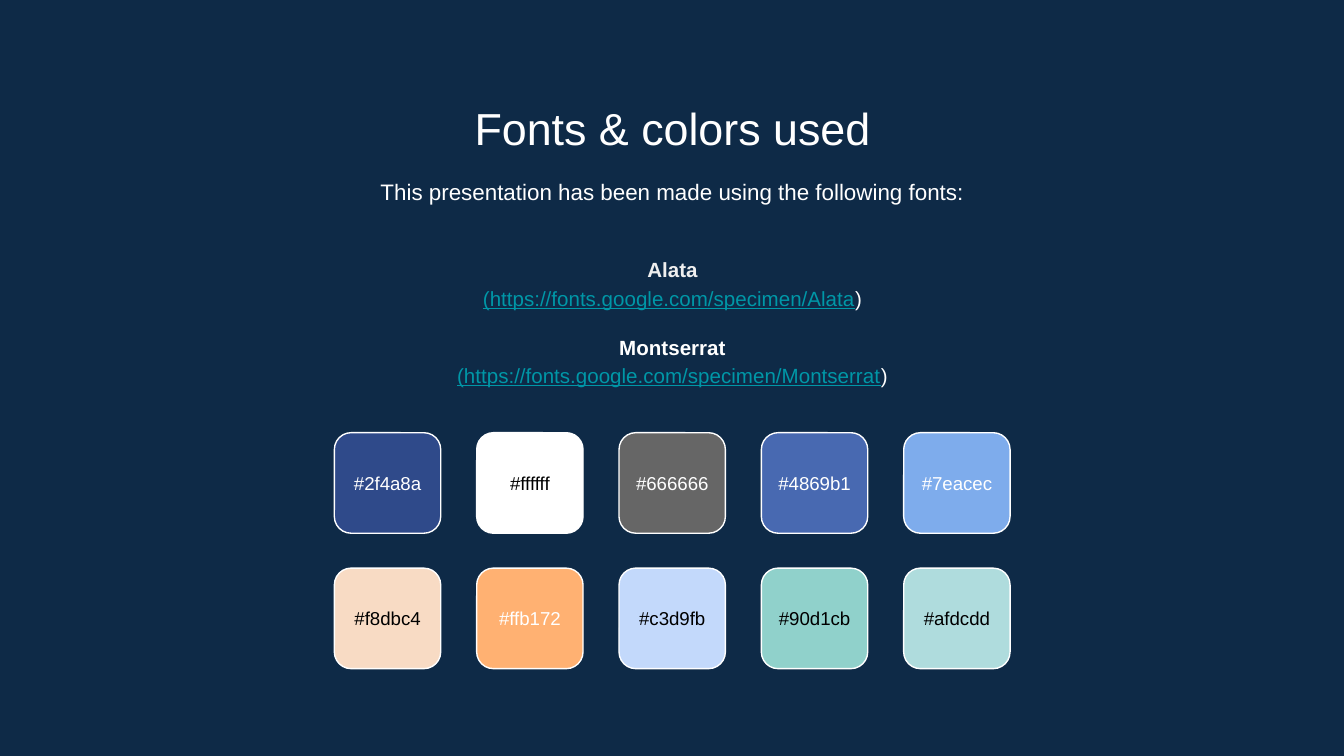
"""Build the slide that lists the fonts and colors of a presentation."""
from pptx import Presentation
from pptx.dml.color import RGBColor
from pptx.enum import shapes, text
from pptx.util import Cm, Pt

NAVY = RGBColor(0x0E, 0x2A, 0x47)
WHITE = RGBColor(0xFF, 0xFF, 0xFF)
BLACK = RGBColor(0x00, 0x00, 0x00)
PALE = RGBColor(0xEF, 0xEF, 0xEF)
TEAL = RGBColor(0x00, 0x97, 0xA7)

FONTS = [("Alata", PALE), ("Montserrat", WHITE)]
SWATCHES = [
    [("#2f4a8a", WHITE), ("#ffffff", BLACK), ("#666666", WHITE),
     ("#4869b1", WHITE), ("#7eacec", WHITE)],
    [("#f8dbc4", BLACK), ("#ffb172", WHITE), ("#c3d9fb", BLACK),
     ("#90d1cb", BLACK), ("#afdcdd", BLACK)],
]
TEXT_LEFT, TEXT_WIDTH = 2.92, 19.58
GRID_LEFT, GRID_TOP = 6.32, 8.18
PITCH_X, PITCH_Y = 2.69, 2.56
SWATCH_WIDTH, SWATCH_HEIGHT, LABEL_HEIGHT = 2.01, 1.9, 1.12


class SlideBuilder:
    """Hold the text style and the current slide."""

    font_name = "Arial"
    inset = Cm(0.25)

    def __init__(self, slide):
        self.slide = slide
        self.group = slide.shapes.add_group_shape()
        slide.background.fill.solid()
        slide.background.fill.fore_color.rgb = NAVY

    def style_run(self, run, size, color, bold=False, underline=False):
        font = run.font
        font.name, font.size = self.font_name, Pt(size)
        font.bold, font.underline = bold, underline
        font.color.rgb = color

    def style_frame(self, frame, anchor):
        frame.word_wrap = True
        frame.auto_size = text.MSO_AUTO_SIZE.NONE
        frame.vertical_anchor = anchor
        frame.margin_left = frame.margin_right = self.inset
        frame.margin_top = frame.margin_bottom = self.inset

    def style_paragraph(self, paragraph, spacing=1.0, before=0):
        paragraph.alignment = text.PP_ALIGN.CENTER
        paragraph.line_spacing = spacing
        paragraph.space_before = Pt(before)

    def placeholder(self, index, top, height, anchor=text.MSO_ANCHOR.TOP):
        shape = self.slide.placeholders[index]
        shape.left, shape.top = Cm(TEXT_LEFT), Cm(top)
        shape.width, shape.height = Cm(TEXT_WIDTH), Cm(height)
        self.style_frame(shape.text_frame, anchor)
        return shape.text_frame

    def line(self, index, top, height, wording, size, spacing):
        frame = self.placeholder(index, top, height)
        frame.text = wording
        self.style_paragraph(frame.paragraphs[0], spacing)
        self.style_run(frame.paragraphs[0].runs[0], size, WHITE)

    def font_list(self, index, top, height):
        frame = self.placeholder(index, top, height, text.MSO_ANCHOR.MIDDLE)
        for number, (name, color) in enumerate(FONTS):
            heading = frame.add_paragraph() if number else frame.paragraphs[0]
            heading.text = name
            self.style_paragraph(heading, 1.15, 11 if number else 0)
            self.style_run(heading.runs[0], 11, color, bold=True)
            address = frame.add_paragraph()
            address.text = f"(https://fonts.google.com/specimen/{name}"
            self.style_paragraph(address, 1.15)
            self.style_run(address.runs[0], 11, TEAL, underline=True)
            bracket = address.add_run()
            bracket.text = ")"
            self.style_run(bracket, 11, WHITE)

    def swatch(self, left, top, code, color):
        shape = self.group.shapes.add_shape(
            shapes.MSO_SHAPE.ROUNDED_RECTANGLE,
            Cm(left), Cm(top), Cm(SWATCH_WIDTH), Cm(SWATCH_HEIGHT))
        shape.shadow.inherit = False
        shape.fill.solid()
        shape.fill.fore_color.rgb = RGBColor.from_string(code[1:].upper())
        shape.line.color.rgb = WHITE
        shape.line.width = Pt(0.75)
        label_top = top + (SWATCH_HEIGHT - LABEL_HEIGHT) / 2
        label = self.group.shapes.add_textbox(
            Cm(left), Cm(label_top), Cm(SWATCH_WIDTH), Cm(LABEL_HEIGHT))
        frame = label.text_frame
        self.style_frame(frame, text.MSO_ANCHOR.MIDDLE)
        frame.text = code
        self.style_paragraph(frame.paragraphs[0])
        self.style_run(frame.paragraphs[0].runs[0], 10, color)


def main():
    presentation = Presentation()
    presentation.slide_width, presentation.slide_height = Cm(25.4), Cm(14.29)
    slide = presentation.slides.add_slide(
        presentation.slide_layouts.get_by_name("Comparison"))
    for index in (2, 4):
        unused = slide.placeholders[index].element
        unused.getparent().remove(unused)

    builder = SlideBuilder(slide)
    builder.line(0, 1.65, 1.35, "Fonts & colors used", 24, 1.0)
    builder.line(1, 3.05, 1.22,
                 "This presentation has been made using the following fonts:",
                 12, 1.15)
    builder.font_list(3, 4.32, 3.48)
    for row, swatches in enumerate(SWATCHES):
        for column, (code, color) in enumerate(swatches):
            builder.swatch(GRID_LEFT + column * PITCH_X,
                           GRID_TOP + row * PITCH_Y, code, color)
    presentation.save("out.pptx")


if __name__ == "__main__":
    main()
